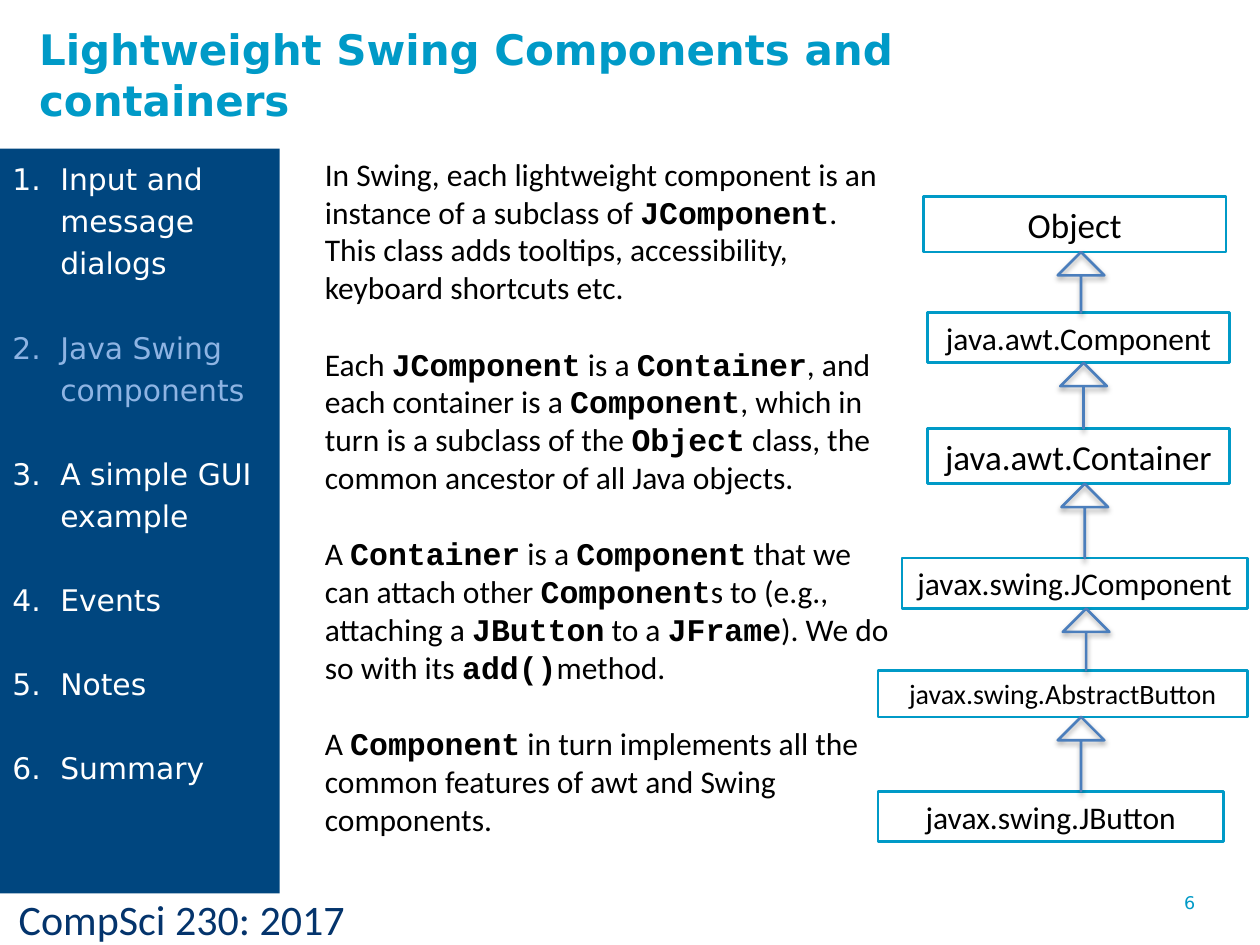
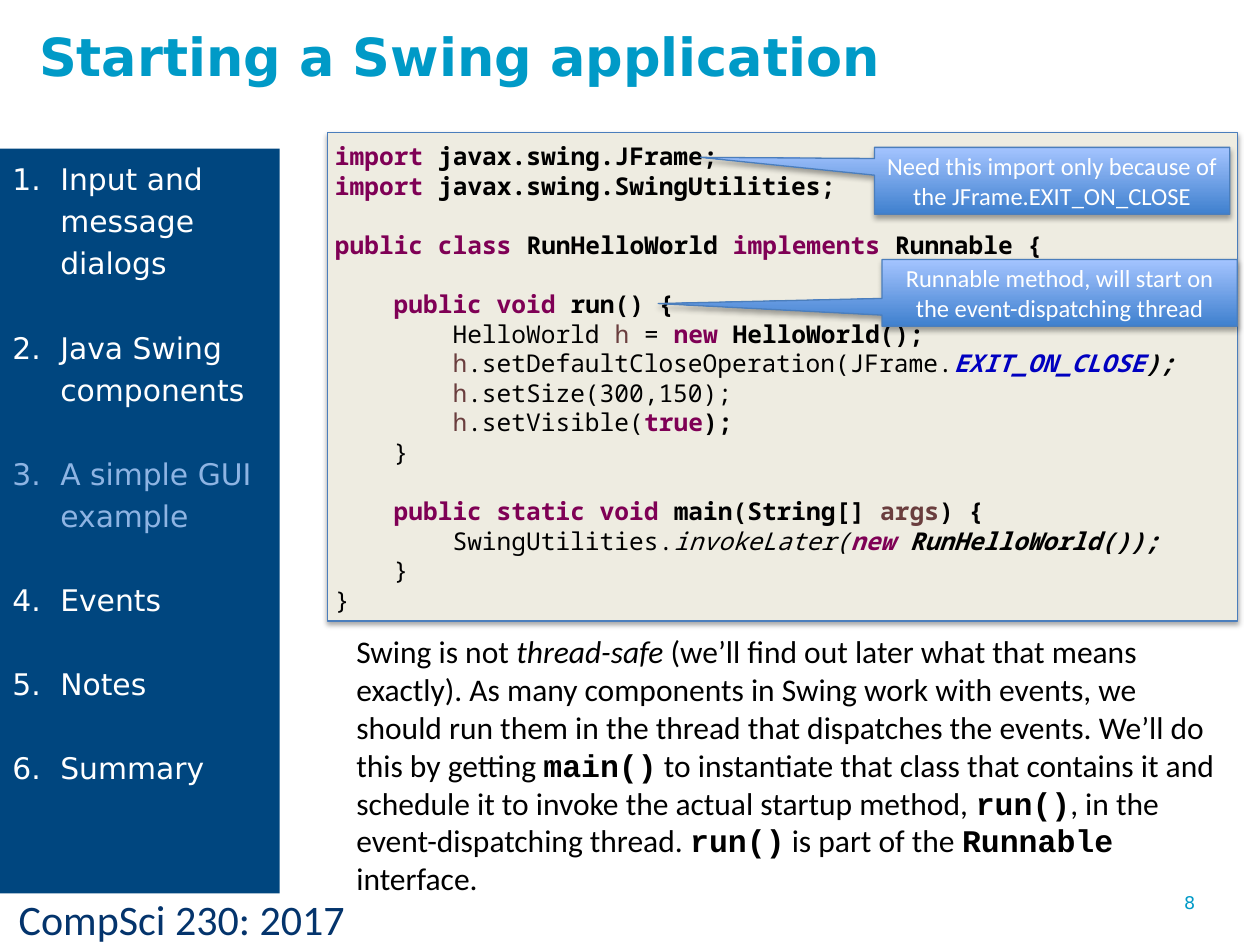
import pptx
import pptx.dml.color
import pptx.enum.shapes
import pptx.enum.text
import pptx.oxml.ns
import pptx.oxml.xmlchemy
import pptx.util
from lxml import etree
from pptx.dml.color import RGBColor
from pptx.enum.shapes import MSO_SHAPE
from pptx.enum.text import MSO_ANCHOR, MSO_AUTO_SIZE, PP_ALIGN
from pptx.oxml.ns import qn
from pptx.util import Inches, Pt

TEAL = RGBColor(0x00, 0x9A, 0xC7)
NAVY = RGBColor(0x00, 0x46, 0x7F)
FOOTER_BLUE = RGBColor(0x04, 0x34, 0x6C)
CURRENT_TOPIC = RGBColor(0x8E, 0xB4, 0xE3)
OUTLINE_BLUE = RGBColor(0x4B, 0x7E, 0xBC)
CALLOUT_DARK = RGBColor(0x3F, 0x80, 0xCE)
CALLOUT_LIGHT = RGBColor(0xA4, 0xC4, 0xFF)
CODE_PAPER = RGBColor(0xEE, 0xEC, 0xE1)
KEYWORD_PURPLE = RGBColor(0x7F, 0x00, 0x55)
VARIABLE_BROWN = RGBColor(0x6A, 0x3E, 0x3E)
CONSTANT_BLUE = RGBColor(0x00, 0x00, 0xC0)
WHITE = RGBColor(0xFF, 0xFF, 0xFF)
BLACK = RGBColor(0x00, 0x00, 0x00)

SANS = "DejaVu Sans"
BODY = "Calibri"
MONO = dict(font="Courier New", bold=True)
BOLD = dict(bold=True)
ITALIC = dict(italic=True)
BOLD_ITALIC = dict(bold=True, italic=True)
KEYWORD = dict(bold=True, color=KEYWORD_PURPLE)
KEYWORD_ITALIC = dict(bold=True, italic=True, color=KEYWORD_PURPLE)
VARIABLE = dict(color=VARIABLE_BROWN)
BOLD_VARIABLE = dict(bold=True, color=VARIABLE_BROWN)
CONSTANT = dict(bold=True, italic=True, color=CONSTANT_BLUE)

TOPICS = ["Input and message dialogs", "Java Swing components",
          "A simple GUI example", "Events", "Notes", "Summary"]


def write(shape, paragraphs, align=PP_ALIGN.LEFT, anchor=MSO_ANCHOR.TOP, wrap=True,
          gap=None, spacing=None, **base):
    """Fill a shape with paragraphs, each a list of plain strings and (text, style) pairs.

    Names between backticks in a plain string are set in the monospaced style.
    """
    frame = shape.text_frame
    frame.auto_size = MSO_AUTO_SIZE.NONE
    frame.word_wrap = wrap
    frame.vertical_anchor = anchor
    for index, pieces in enumerate(paragraphs):
        paragraph = frame.paragraphs[0] if index == 0 else frame.add_paragraph()
        paragraph.alignment = align
        paragraph.line_spacing = spacing
        if gap and index:
            paragraph.space_before = gap
        for piece in pieces:
            if isinstance(piece, str):
                parts = [(text, MONO if odd % 2 else {})
                         for odd, text in enumerate(piece.split("`"))]
            else:
                parts = [piece]
            for text, style in parts:
                look = {"bold": False, "italic": False, "color": BLACK, **base, **style}
                run = paragraph.add_run()
                run.text = text
                run.font.name = look["font"]
                run.font.size = Pt(look["size"])
                run.font.bold = look["bold"]
                run.font.italic = look["italic"]
                run.font.color.rgb = look["color"]
    return frame


def cast_shadow(shape):
    shape.shadow.inherit = False
    effects = shape.element.spPr.find(qn("a:effectLst"))
    outer = etree.SubElement(effects, qn("a:outerShdw"), blurRad=str(Pt(3.1)),
                             dist=str(Pt(1.8)), dir="5400000", rotWithShape="0")
    black = etree.SubElement(outer, qn("a:srgbClr"), val="000000")
    etree.SubElement(black, qn("a:alpha"), val="35000")


deck = pptx.Presentation()
deck.slide_width, deck.slide_height = Inches(10), Inches(7.5)

# Shared parts: title, footer, page number and topic sidebar
pages = []
for heading, heading_size, number, current in [
    ("Lightweight Swing Components and containers", 24, "6", 1),
    ("Starting a Swing application", 30, "8", 2),
]:
    page = deck.slides.add_slide(deck.slide_layouts[5])
    pages.append(page)
    title = page.shapes.title
    title.left, title.top = Inches(0.21), Inches(0.14)
    title.width, title.height = Inches(7.13), Inches(0.78)
    write(title, [[heading]], font=SANS, size=heading_size, bold=True, color=TEAL)

    footer = page.shapes.add_textbox(Inches(0.05), Inches(7.04), Inches(4.05), Inches(0.5))
    write(footer, [["CompSci 230: 2017"]], font=BODY, size=24, color=FOOTER_BLUE)
    page_number = page.shapes.add_textbox(Inches(9.3), Inches(7.03), Inches(0.7), Inches(0.52))
    write(page_number, [[number]], font=SANS, size=10, color=TEAL)

    sidebar = page.shapes.add_shape(MSO_SHAPE.RECTANGLE, 0, Inches(1.18),
                                    Inches(2.22), Inches(5.91))
    sidebar.shadow.inherit = False
    sidebar.fill.solid()
    sidebar.fill.fore_color.rgb = NAVY
    sidebar.line.fill.background()
    topics = [[(topic, dict(color=CURRENT_TOPIC if index == current else WHITE))]
              for index, topic in enumerate(TOPICS)]
    frame = write(sidebar, topics, font=SANS, size=17, gap=Pt(24), spacing=Pt(24))
    for paragraph in frame.paragraphs:
        properties = paragraph._p.get_or_add_pPr()
        properties.set("marL", str(Inches(0.38)))
        properties.set("indent", str(-Inches(0.38)))
        etree.SubElement(properties, qn("a:buFont"), typeface="+mj-lt")
        etree.SubElement(properties, qn("a:buAutoNum"), type="arabicPeriod")

components, application = pages

# Component explanation
explanation = components.shapes.add_textbox(Inches(2.48), Inches(1.18),
                                            Inches(4.69), Inches(6.16))
write(explanation, [
    ["In Swing, each lightweight component is an instance of a subclass of `JComponent`. "
     "This class adds tooltips, accessibility, keyboard shortcuts etc."],
    ["Each `JComponent` is a `Container`, and each container is a `Component`, which in turn "
     "is a subclass of the `Object` class, the common ancestor of all Java objects."],
    ["A `Container` is a `Component` that we can attach other `Component`s to (e.g., "
     "attaching a `JButton` to a `JFrame`). We do so with its `add()`method."],
    ["A `Component` in turn implements all the common features of awt and Swing components."],
], font=BODY, size=18, gap=Pt(22))

# Class hierarchy: name, text size, left, top, width, height, centre of the arrow to its parent
hierarchy = [
    ("Object", 20, 7.33, 1.56, 2.4, 0.44, None),
    ("java.awt.Component", 18, 7.36, 2.48, 2.4, 0.4, 8.58),
    ("java.awt.Container", 20, 7.36, 3.4, 2.4, 0.44, 8.6),
    ("javax.swing.JComponent", 18, 7.16, 4.43, 2.74, 0.4, 8.61),
    ("javax.swing.AbstractButton", 16, 6.97, 5.32, 2.93, 0.37, 8.62),
    ("javax.swing.JButton", 18, 6.97, 6.28, 2.74, 0.4, 8.58),
]
HEAD_WIDTH = 0.37
parent_bottom = 0
for name, size, left, top, width, height, centre in hierarchy:
    class_box = components.shapes.add_shape(MSO_SHAPE.RECTANGLE, Inches(left), Inches(top),
                                            Inches(width), Inches(height))
    class_box.shadow.inherit = False
    class_box.fill.background()
    class_box.line.color.rgb = TEAL
    class_box.line.width = Pt(1.5)
    write(class_box, [[name]], font=BODY, size=size, align=PP_ALIGN.CENTER,
          anchor=MSO_ANCHOR.MIDDLE, wrap=False)
    if centre:
        length = top - parent_bottom
        middle = (top + parent_bottom) / 2
        inherits = components.shapes.add_shape(
            MSO_SHAPE.RIGHT_ARROW, Inches(centre - length / 2),
            Inches(middle - HEAD_WIDTH / 2), Inches(length), Inches(HEAD_WIDTH))
        inherits.rotation = 270
        inherits.adjustments[0], inherits.adjustments[1] = 0, 0.5
        inherits.fill.background()
        inherits.line.color.rgb = OUTLINE_BLUE
        inherits.line.width = Pt(1.5)
        cast_shadow(inherits)
    parent_bottom = top + height

# Code listing: indent level, blank line before, pieces
code_paper = application.shapes.add_shape(MSO_SHAPE.RECTANGLE, Inches(2.6), Inches(1.05),
                                          Inches(7.22), Inches(3.88))
code_paper.fill.solid()
code_paper.fill.fore_color.rgb = CODE_PAPER
code_paper.line.color.rgb = OUTLINE_BLUE
code_paper.line.width = Pt(0.75)
cast_shadow(code_paper)

listing = [
    (0, False, [("import ", KEYWORD), ("javax.swing.JFrame;", BOLD)]),
    (0, False, [("import ", KEYWORD), ("javax.swing.SwingUtilities;", BOLD)]),
    (0, True, [("public class ", KEYWORD), ("RunHelloWorld ", BOLD),
               ("implements", KEYWORD), (" Runnable {", BOLD)]),
    (1, True, [("public void", KEYWORD), (" run() {", BOLD)]),
    (2, False, ["HelloWorld ", ("h", VARIABLE), " = ", ("new", KEYWORD),
                (" HelloWorld();", BOLD)]),
    (2, False, [("h", VARIABLE), ".setDefaultCloseOperation(JFrame.",
                ("EXIT_ON_CLOSE", CONSTANT), (");", BOLD_ITALIC)]),
    (2, False, [("h", VARIABLE), ".setSize(300,150);"]),
    (2, False, [("h", VARIABLE), ".setVisible(", ("true", KEYWORD), (");", BOLD)]),
    (1, False, ["}"]),
    (1, True, [("public static void", KEYWORD), (" main(String[] ", BOLD),
               ("args", BOLD_VARIABLE), (") {", BOLD)]),
    (2, False, ["SwingUtilities.", ("invokeLater(", ITALIC), ("new ", KEYWORD_ITALIC),
                ("RunHelloWorld());", BOLD_ITALIC)]),
    (1, False, ["}"]),
    (0, False, ["}"]),
]
CODE_LINE = Pt(16.9)
code = application.shapes.add_textbox(Inches(2.56), Inches(1.07), Inches(7.29), Inches(2.62))
frame = write(code, [pieces for _, _, pieces in listing], font="Noto Sans Mono", size=14,
              spacing=CODE_LINE)
for paragraph, (level, blank_before, _) in zip(frame.paragraphs, listing):
    paragraph._p.get_or_add_pPr().set("marL", str(level * Pt(33.6)))
    if blank_before:
        paragraph.space_before = CODE_LINE

threading = application.shapes.add_textbox(Inches(2.73), Inches(4.97),
                                           Inches(7.03), Inches(2.22))
write(threading, [[
    "Swing is not ", ("thread-safe", ITALIC),
    " (we’ll find out later what that means exactly). As many components in Swing work with "
    "events, we should run them in the thread that dispatches the events. We’ll do this by "
    "getting `main()` to instantiate that class that contains it and schedule it to invoke "
    "the actual startup method, `run()`, in the event-dispatching thread. `run()` is part of "
    "the `Runnable` interface."]], font=BODY, size=18)

# Callouts on the code
for remark, left, top, tip_x, tip_y in [
    ("Need this import only because of the JFrame.EXIT_ON_CLOSE", 6.94, 1.17, -0.99, -0.35),
    ("Runnable method, will start on the event-dispatching thread", 7, 2.06, -1.13, 0.16),
]:
    callout = application.shapes.add_shape(MSO_SHAPE.RECTANGULAR_CALLOUT, Inches(left),
                                           Inches(top), Inches(2.82), Inches(0.53))
    callout.adjustments[0], callout.adjustments[1] = tip_x, tip_y
    callout.fill.gradient()
    callout.fill.gradient_angle = 90
    for stop, shade in zip(callout.fill.gradient_stops, (CALLOUT_DARK, CALLOUT_LIGHT)):
        stop.color.rgb = shade
    callout.line.color.rgb = OUTLINE_BLUE
    callout.line.width = Pt(0.75)
    cast_shadow(callout)
    frame = write(callout, [[remark]], font=BODY, size=14, color=WHITE,
                  align=PP_ALIGN.CENTER, anchor=MSO_ANCHOR.MIDDLE)
    frame.margin_left = frame.margin_right = Inches(0.08)

deck.save("out.pptx")
